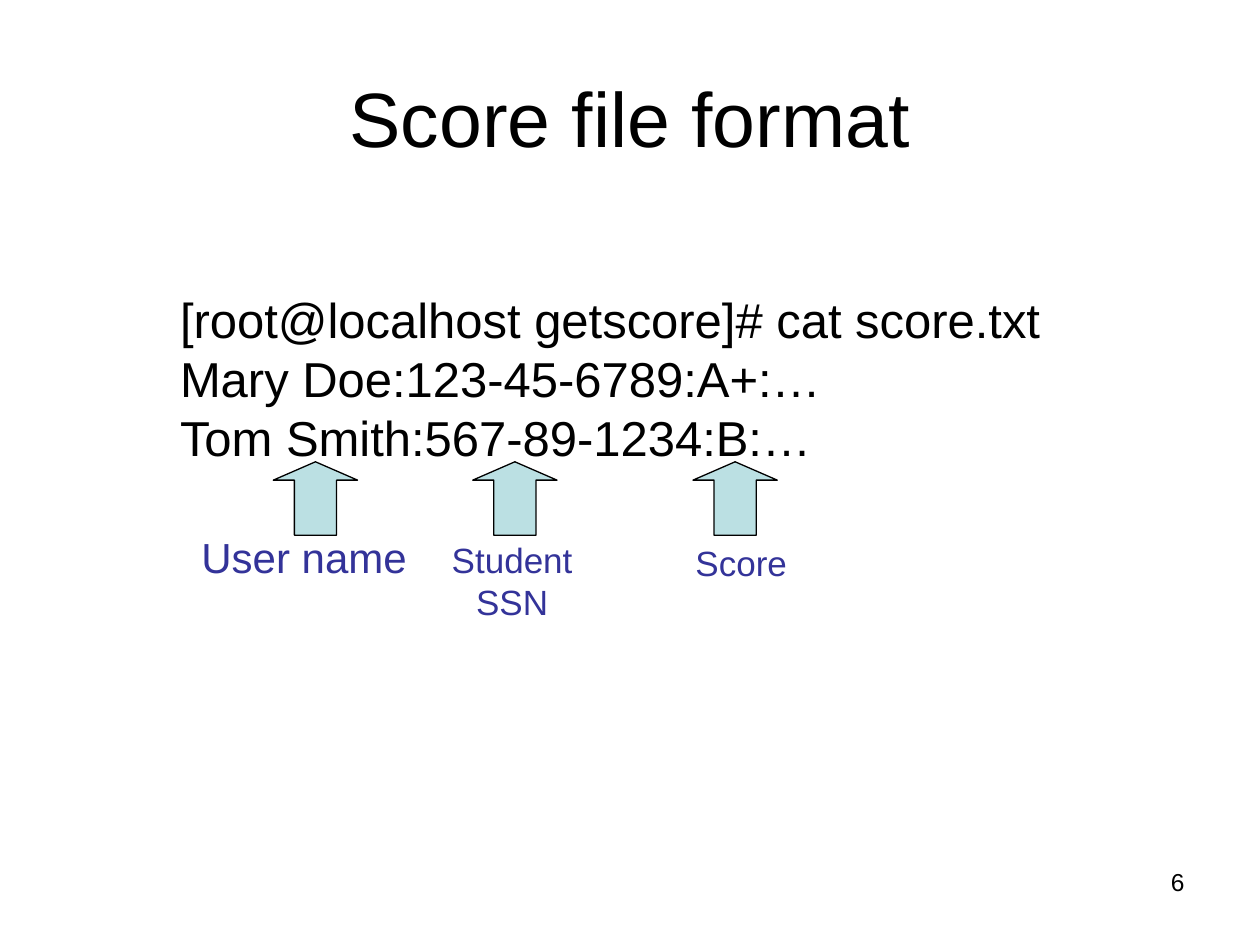
from pptx import Presentation
from pptx.dml.color import RGBColor
from pptx.enum.shapes import MSO_SHAPE
from pptx.enum.text import MSO_ANCHOR, PP_ALIGN
from pptx.util import Cm, Pt

# Content: lengths in centimetres, boxes as left, top, width, height
TITLE = "Score file format"
LISTING = [
    "[root@localhost getscore]# cat score.txt",
    "Mary Doe:123-45-6789:A+:…",
    "Tom Smith:567-89-1234:B:…",
]
PAGE_NUMBER = "6"
# label, box, size, alignment, left edge of its arrow
FIELDS = [
    ("User name", (3.81, 10.59, 5.08, 1.27), 24, PP_ALIGN.LEFT, 5.51),
    ("Student SSN", (8.23, 10.74, 4.19, 1.96), 20, PP_ALIGN.CENTER, 9.53),
    ("Score", (13.77, 10.8, 2.54, 1.12), 20, PP_ALIGN.LEFT, 13.97),
]
ARROW_TOP, ARROW_WIDTH, ARROW_HEIGHT = 9.31, 1.7, 1.48
LINE_SPACING = 1.2
BLACK, LABEL_BLUE, ARROW_FILL = "000000", "333399", "BBE0E3"


def color(hex_value):
    return RGBColor.from_string(hex_value)


def write(frame, lines, size, hex_value=BLACK, align=PP_ALIGN.LEFT):
    """Fill a text frame with one paragraph per line."""
    frame.word_wrap = True
    for index, line in enumerate(lines):
        para = frame.add_paragraph() if index else frame.paragraphs[0]
        para.alignment = align
        para.line_spacing = Pt(size * LINE_SPACING)
        span = para.add_run()
        span.text = line
        span.font.name = "Arial"
        span.font.size = Pt(size)
        span.font.color.rgb = color(hex_value)


def add_text(page, place, lines, size, hex_value=BLACK, align=PP_ALIGN.LEFT):
    box = page.shapes.add_textbox(*map(Cm, place))
    write(box.text_frame, lines, size, hex_value, align)


def add_arrow(page, left):
    arrow = page.shapes.add_shape(
        MSO_SHAPE.UP_ARROW, Cm(left), Cm(ARROW_TOP), Cm(ARROW_WIDTH), Cm(ARROW_HEIGHT))
    arrow.adjustments[0] = 0.5
    arrow.adjustments[1] = 0.25
    arrow.shadow.inherit = False
    arrow.fill.solid()
    arrow.fill.fore_color.rgb = color(ARROW_FILL)
    arrow.line.color.rgb = color(BLACK)
    arrow.line.width = Pt(0.75)


def main():
    deck = Presentation()
    deck.slide_width, deck.slide_height = Cm(25.4), Cm(19.05)
    page = deck.slides.add_slide(deck.slide_layouts[5])

    # Title
    title = page.shapes.title
    title.left, title.top, title.width, title.height = map(Cm, (1.27, 0.76, 22.86, 3.18))
    title.text_frame.vertical_anchor = MSO_ANCHOR.MIDDLE
    write(title.text_frame, [TITLE], 44, align=PP_ALIGN.CENTER)

    # File listing
    add_text(page, (3.38, 5.72, 18.85, 3.81), LISTING, 28)

    # Field labels, then the arrows that point from them to the listing
    for label, place, size, align, _ in FIELDS:
        add_text(page, place, [label], size, LABEL_BLUE, align)
    for *_, arrow_left in FIELDS:
        add_arrow(page, arrow_left)

    # Page number
    add_text(page, (18.21, 17.35, 5.92, 1.32), [PAGE_NUMBER], 14, align=PP_ALIGN.RIGHT)

    deck.save("out.pptx")


if __name__ == "__main__":
    main()
